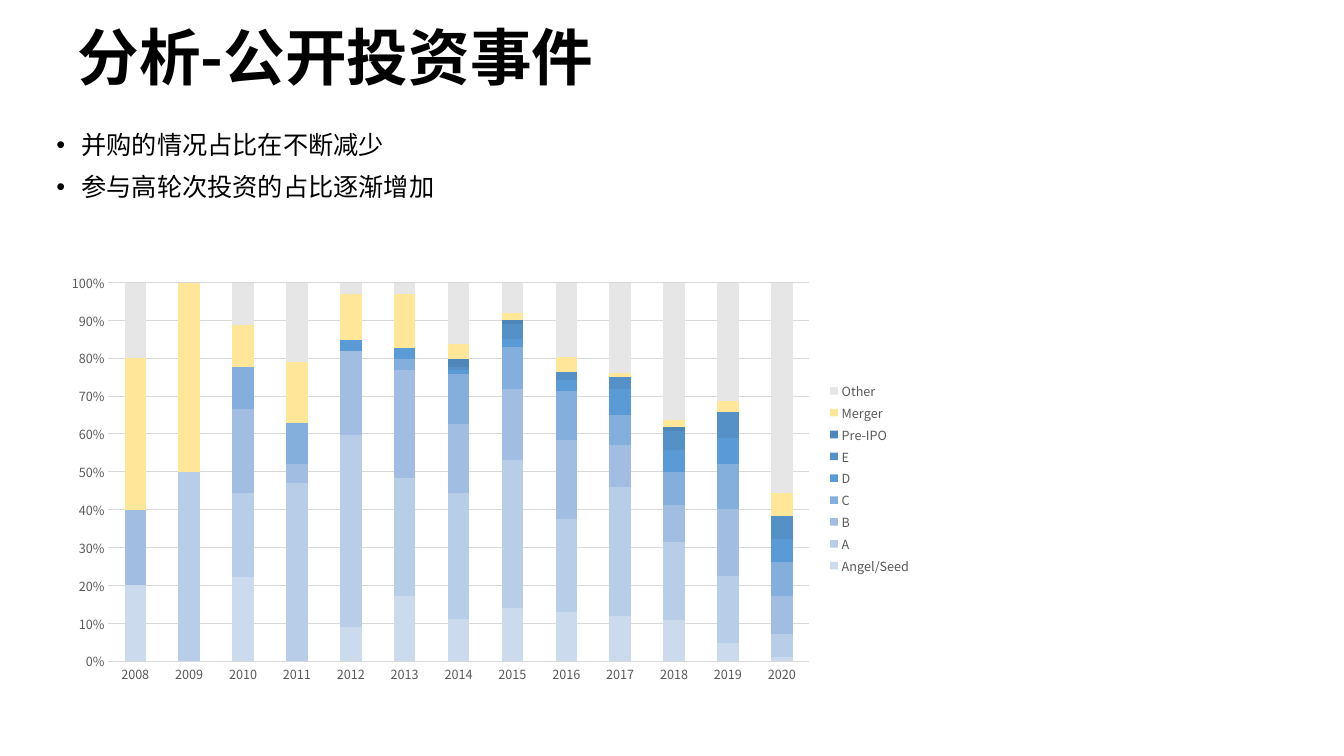
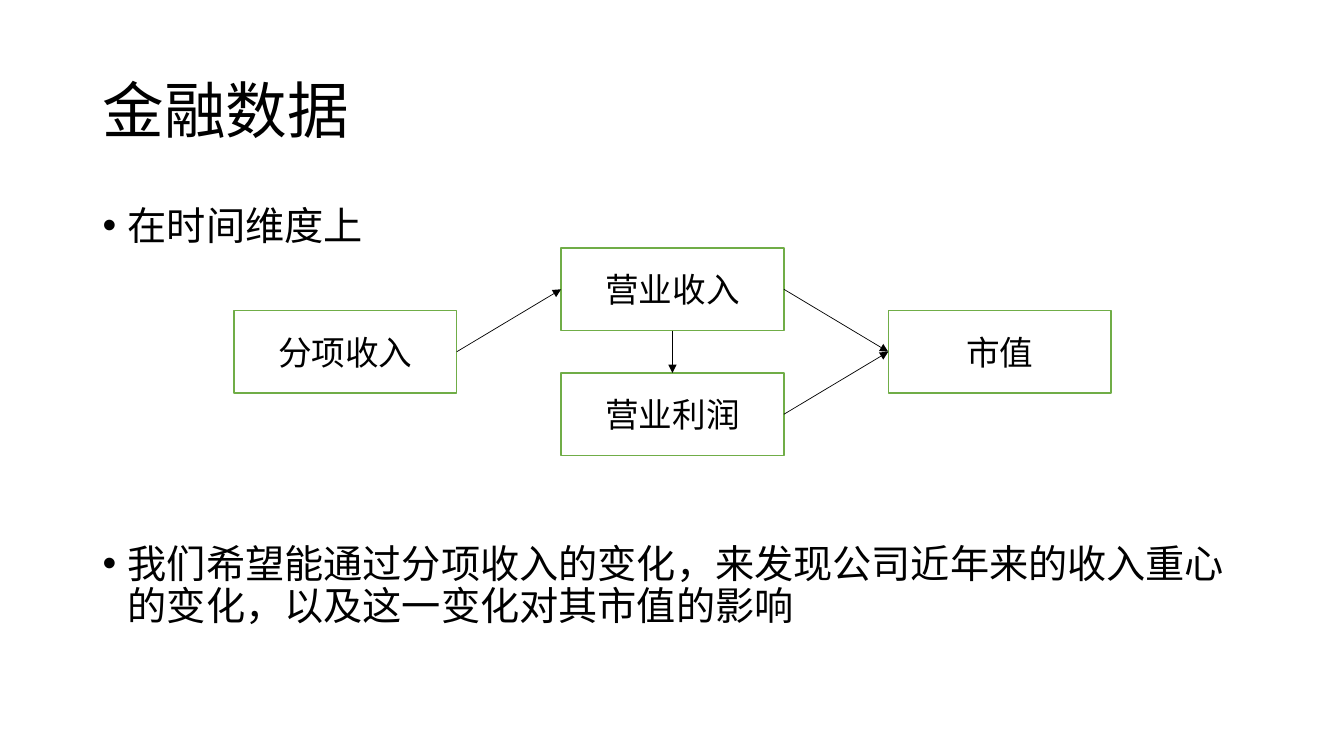
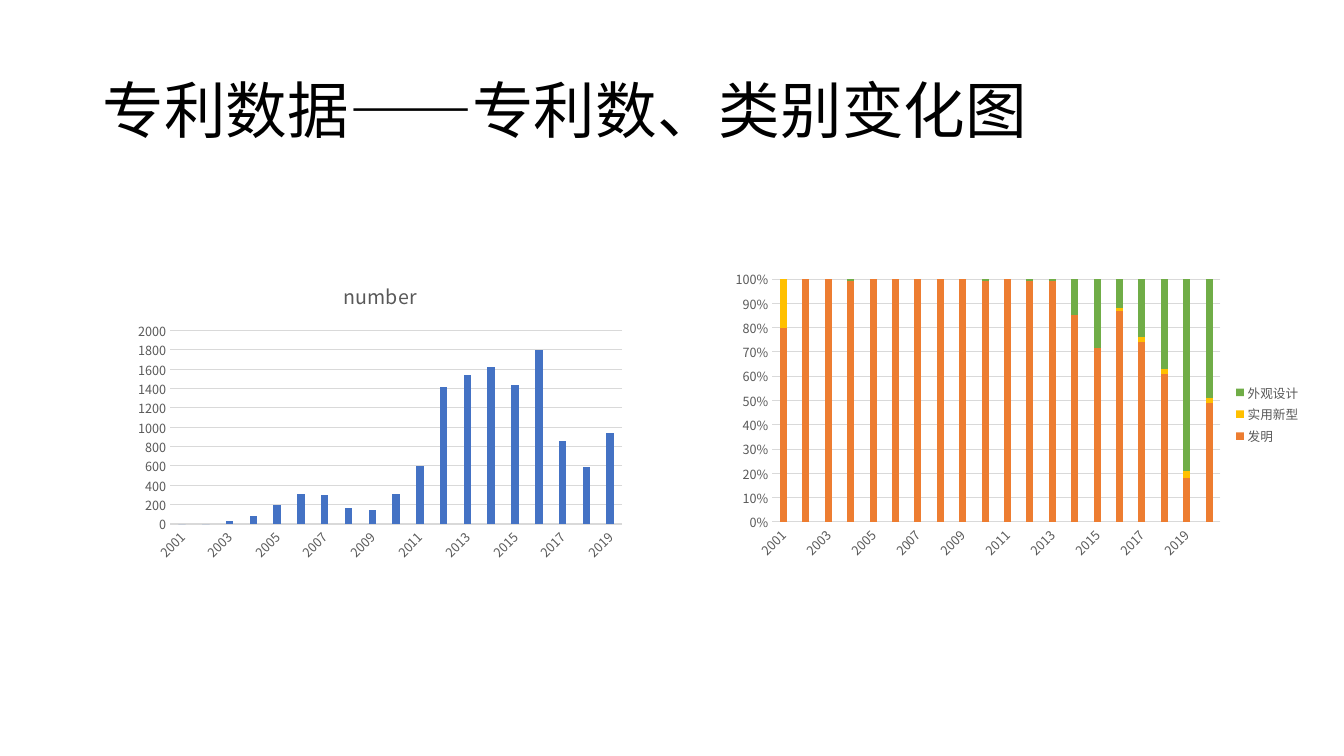
from dataclasses import dataclass
from typing import Optional

from lxml.etree import SubElement
from pptx import Presentation
from pptx.chart.data import CategoryChartData
from pptx.dml.color import RGBColor
from pptx.enum.chart import XL_CHART_TYPE, XL_LEGEND_POSITION, XL_TICK_MARK
from pptx.enum.shapes import MSO_CONNECTOR, MSO_SHAPE
from pptx.enum.text import MSO_ANCHOR, PP_ALIGN
from pptx.oxml.ns import qn
from pptx.util import Inches, Pt

# Shared style
FONT = "Noto Sans CJK SC"
BLACK, WHITE, GREEN = "000000", "FFFFFF", "70AD47"
GRAY, GRID = "595959", "D9D9D9"
TITLE_BOX = (0.92, 0.4, 11.5, 1.45)
TOP, LEFT, BOTTOM, RIGHT = range(4)  # connection sites of a rectangle
AUTO_ROTATION = "-60000000"


@dataclass
class Bullet:
    text: str
    before: float = 10


@dataclass
class Box:
    text: str
    col: int
    row: int


@dataclass
class Arrow:
    start: str
    start_site: int
    end: str
    end_site: int


@dataclass
class Series:
    name: str
    color: str
    values: list


@dataclass
class ChartSpec:
    kind: XL_CHART_TYPE
    box: tuple
    years: range
    series: list
    gap: int
    overlap: int
    value_format: str
    title: Optional[str] = None


def rgb(color: str) -> RGBColor:
    return RGBColor.from_string(color)


def style_font(font, size: float, color: str, bold: bool = False) -> None:
    font.name, font.size, font.bold = FONT, Pt(size), bold
    font.color.rgb = rgb(color)


def add_run(p, text: str, size: float, bold: bool = False) -> None:
    r = p.add_run()
    r.text = text
    style_font(r.font, size, BLACK, bold)
    SubElement(r._r.get_or_add_rPr(), qn("a:ea"), typeface=FONT)


def add_text_frame(s, box: tuple):
    tf = s.shapes.add_textbox(*map(Inches, box)).text_frame
    tf.word_wrap = True
    return tf


def add_title(s, text: str, box: tuple = TITLE_BOX, bold: bool = False) -> None:
    tf = add_text_frame(s, box)
    tf.vertical_anchor = MSO_ANCHOR.MIDDLE
    p = tf.paragraphs[0]
    p.line_spacing = 0.9
    add_run(p, text, 44, bold)


def add_bullets(s, box: tuple, size: float, bullets: list) -> None:
    tf = add_text_frame(s, box)
    for i, bullet in enumerate(bullets):
        p = tf.add_paragraph() if i else tf.paragraphs[0]
        p.line_spacing, p.space_before = 0.9, Pt(bullet.before)
        pPr = p._p.get_or_add_pPr()
        pPr.set("marL", str(Inches(0.25)))
        pPr.set("indent", str(-Inches(0.25)))
        SubElement(pPr, qn("a:buFont"), typeface="Arial")
        SubElement(pPr, qn("a:buChar"), char="•")
        add_run(p, bullet.text, size)


def add_box(s, box: Box):
    left, top = 2.32 + 3.245 * box.col, 2.46 + 0.62 * box.row
    sp = s.shapes.add_shape(MSO_SHAPE.RECTANGLE, Inches(left), Inches(top),
                            Inches(2.21), Inches(0.82))
    sp.shadow.inherit = False
    sp.fill.solid()
    sp.fill.fore_color.rgb = rgb(WHITE)
    sp.line.color.rgb = rgb(GREEN)
    sp.line.width = Pt(1)
    tf = sp.text_frame
    tf.vertical_anchor = MSO_ANCHOR.MIDDLE
    p = tf.paragraphs[0]
    p.alignment = PP_ALIGN.CENTER
    add_run(p, box.text, 24)
    return sp


def add_arrow(s, arrow: Arrow, boxes: dict) -> None:
    line = s.shapes.add_connector(MSO_CONNECTOR.STRAIGHT, 0, 0, 0, 0)
    line.begin_connect(boxes[arrow.start], arrow.start_site)
    line.end_connect(boxes[arrow.end], arrow.end_site)
    line.line.color.rgb = rgb(BLACK)
    line.line.width = Pt(0.5)
    SubElement(line.line._get_or_add_ln(), qn("a:tailEnd"), type="triangle")
    SubElement(line._element.spPr, qn("a:effectLst"))


def style_axis(axis) -> None:
    axis.major_tick_mark = axis.minor_tick_mark = XL_TICK_MARK.NONE
    style_font(axis.tick_labels.font, 9, GRAY)


def style_line(line) -> None:
    line.color.rgb = rgb(GRID)
    line.width = Pt(0.75)


def add_column_chart(s, spec: ChartSpec) -> None:
    data = CategoryChartData()
    data.categories = [str(year) for year in spec.years]
    for series in spec.series:
        data.add_series(series.name, series.values)
    chart = s.shapes.add_chart(spec.kind, *map(Inches, spec.box), data).chart
    style_font(chart.font, 10, BLACK)

    # Columns
    plot = chart.plots[0]
    plot.gap_width, plot.overlap = spec.gap, spec.overlap
    plot.vary_by_categories = False
    for drawn, series in zip(plot.series, spec.series):
        drawn.format.fill.solid()
        drawn.format.fill.fore_color.rgb = rgb(series.color)

    # Axes
    years, values = chart.category_axis, chart.value_axis
    style_axis(years)
    style_axis(values)
    style_line(years.format.line)
    years._element.txPr.bodyPr.set("rot", AUTO_ROTATION)
    values.format.line.fill.background()
    style_line(values.major_gridlines.format.line)
    values.tick_labels.number_format = spec.value_format
    values.tick_labels.number_format_is_linked = False

    # Title and legend
    chart.has_title = spec.title is not None
    if spec.title:
        r = chart.chart_title.text_frame.paragraphs[0].add_run()
        r.text = spec.title
        style_font(r.font, 14, GRAY)
    chart.has_legend = len(spec.series) > 1
    if chart.has_legend:
        chart.legend.position = XL_LEGEND_POSITION.RIGHT
        chart.legend.include_in_layout = False
        style_font(chart.legend.font, 9, GRAY)


prs = Presentation()
prs.slide_width, prs.slide_height = Inches(13.33), Inches(7.5)
blank = prs.slide_layouts[6]
_ = None  # year without a value

# Slide 1: investment rounds
s = prs.slides.add_slide(blank)
add_title(s, "分析-公开投资事件", (0.67, 0.33, 5.68, 0.55), bold=True)
add_bullets(s, (0.46, 1.27, 12.32, 1.62), 18,
            [Bullet("并购的情况占比在不断减少"), Bullet("参与高轮次投资的占比逐渐增加")])
rounds = [
    Series("Angel/Seed", "CCDAEE", [20, _, 22, _, 9, 17, 11, 14, 13, 12, 11, 5, 1]),
    Series("A", "B8CDE8", [_, 50, 22, 47, 50, 31, 33, 39, 25, 34, 21, 18, 6]),
    Series("B", "A1BEE2", [20, _, 22, 5, 22, 28, 18, 19, 21, 11, 10, 18, 10]),
    Series("C", "84AEDC", [_, _, 11, 11, _, 3, 13, 11, 13, 8, 9, 12, 9]),
    Series("D", "5B9BD5", [_, _, _, _, 3, 3, 1, 2, 3, 7, 6, 7, 6]),
    Series("E", "5591C7", [_, _, _, _, _, _, 1, 4, 2, 3, 5, 7, 6]),
    Series("Pre-IPO", "4F86B9", [_, _, _, _, _, _, 2, 1, _, _, 1, _, _]),
    Series("Merger", "FFE699", [40, 50, 11, 16, 12, 14, 4, 2, 4, 1, 2, 3, 6]),
    Series("Other", "E7E6E6", [20, _, 11, 21, 3, 3, 16, 8, 20, 24, 37, 32, 55]),
]
add_column_chart(s, ChartSpec(XL_CHART_TYPE.COLUMN_STACKED_100, (0.54, 2.63, 8.6, 4.23),
                              range(2008, 2021), rounds, 150, 100, "0%"))

# Slide 2: from revenue to market value
s = prs.slides.add_slide(blank)
add_title(s, "金融数据")
add_bullets(s, (0.92, 2, 11.5, 4.76), 28, [
    Bullet("在时间维度上"),
    Bullet("我们希望能通过分项收入的变化，来发现公司近年来的收入重心的变化，"
           "以及这一变化对其市值的影响", before=211),
])
flow = [Box("分项收入", 0, 1), Box("营业收入", 1, 0), Box("营业利润", 1, 2), Box("市值", 2, 1)]
boxes = {box.text: add_box(s, box) for box in flow}
for arrow in (Arrow("分项收入", RIGHT, "营业收入", LEFT),
              Arrow("营业收入", RIGHT, "市值", LEFT),
              Arrow("营业收入", BOTTOM, "营业利润", TOP),
              Arrow("营业利润", RIGHT, "市值", LEFT)):
    add_arrow(s, arrow, boxes)

# Slide 3: patents by number and type
s = prs.slides.add_slide(blank)
add_title(s, "专利数据——专利数、类别变化图")
patents = [Series("number", "4472C4", [
    0, 0, 30, 80, 200, 310, 300, 170, 140, 310,
    600, 1420, 1540, 1620, 1440, 1800, 860, 590, 940])]
add_column_chart(s, ChartSpec(XL_CHART_TYPE.COLUMN_CLUSTERED, (1.27, 2.62, 5, 3),
                              range(2001, 2020), patents, 219, -27, "General", "number"))
types = [
    Series("发明", "ED7D31", [80, 100, 100, 99, 100, 100, 100, 100, 100, 99,
                            99, 99, 99, 85, 71, 87, 74, 61, 18, 49]),
    Series("实用新型", "FFC000", [20, _, _, _, _, _, _, _, _, _,
                              0, _, 0, 0, 0, 1, 2, 2, 3, 2]),
    Series("外观设计", "70AD47", [_, _, _, 1, _, _, _, _, _, 1,
                              0, 1, 1, 15, 28, 12, 24, 37, 79, 49]),
]
add_column_chart(s, ChartSpec(XL_CHART_TYPE.COLUMN_STACKED_100, (7.18, 2.62, 5.82, 2.98),
                              range(2001, 2021), types, 219, 100, "0%"))

prs.save("out.pptx")
